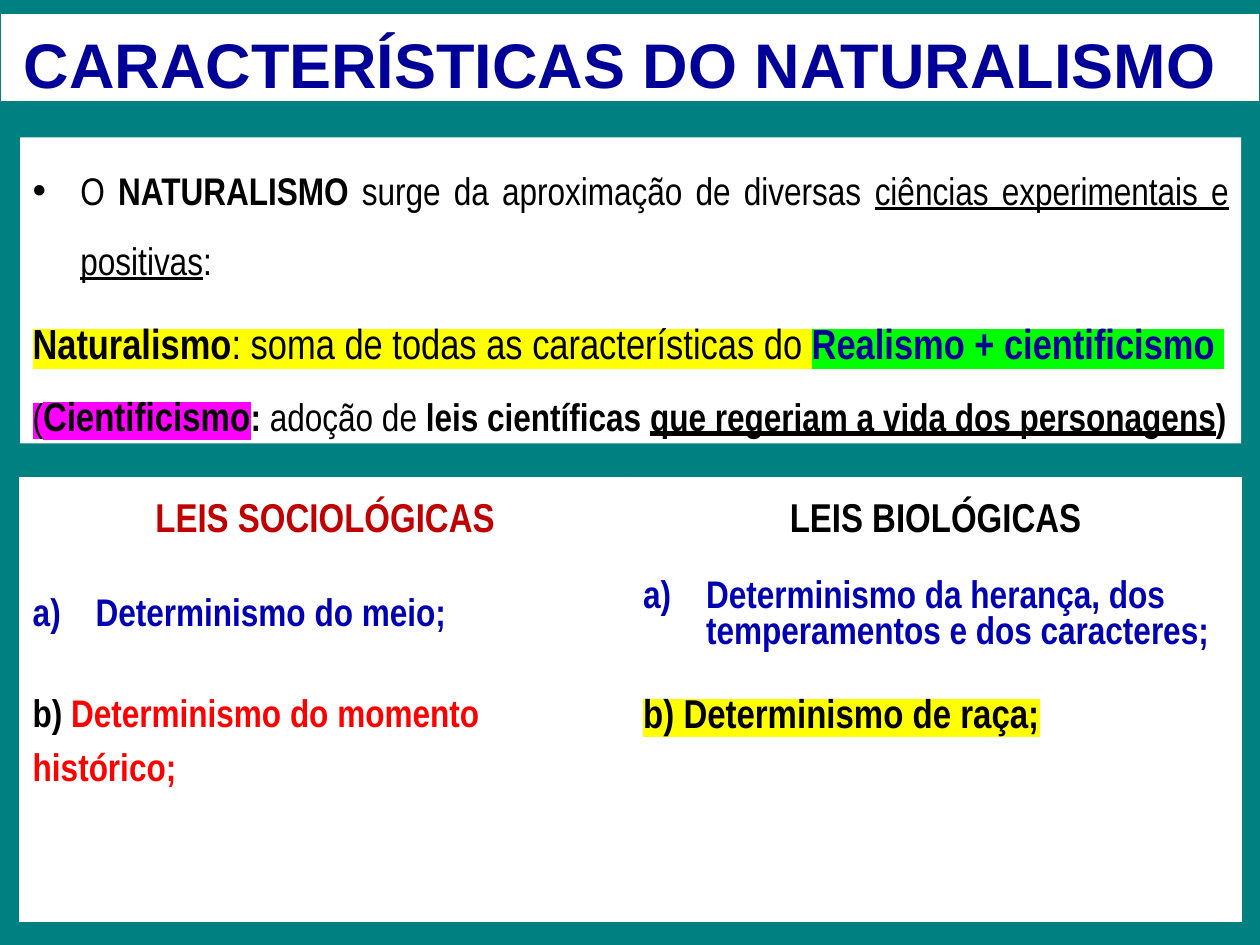
from pptx import Presentation
from pptx.util import Inches, Pt
from pptx.dml.color import RGBColor
from pptx.enum.shapes import MSO_SHAPE
from pptx.enum.text import MSO_ANCHOR, PP_ALIGN
from pptx.oxml.ns import qn
from lxml.etree import SubElement, Element


def color(value):
    return RGBColor.from_string(value)


def write(p, runs, align=PP_ALIGN.LEFT, spacing=1.5, before=0, indent=0, bullet=None):
    p.alignment = align
    p.line_spacing = spacing
    p.space_before = Pt(before)
    pPr = p._p.get_or_add_pPr()
    pPr.set("marL", str(Inches(indent)))
    pPr.set("indent", str(-Inches(indent)))
    if bullet == "•":
        SubElement(pPr, qn("a:buFont"), typeface="Arial")
        SubElement(pPr, qn("a:buChar"), char=bullet)
    elif bullet:
        SubElement(pPr, qn("a:buAutoNum"), type=bullet)
    else:
        SubElement(pPr, qn("a:buNone"))
    for text, size, ink, style, mark in runs:
        r = p.add_run()
        r.text = text
        r.font.size = Pt(size)
        r.font.name = "Arial Narrow"
        r.font.bold = "b" in style
        r.font.underline = "u" in style
        r.font.color.rgb = color(ink)
        if mark:
            highlight = Element(qn("a:highlight"))
            SubElement(highlight, qn("a:srgbClr"), val=mark)
            r._r.rPr.find(qn("a:solidFill")).addnext(highlight)


BLACK, WHITE, TEAL, NAVY, BLUE = "000000", "FFFFFF", "008080", "000099", "0000B2"
YELLOW, GREEN, MAGENTA = "FFFF00", "00FF00", "FF00FF"

prs = Presentation()
prs.slide_width, prs.slide_height = Inches(10), Inches(7.5)
s = prs.slides.add_slide(prs.slide_layouts[6])
s.background.fill.solid()
s.background.fill.fore_color.rgb = color(TEAL)

frames = []
for x, y, w, h in ((0, 0.11, 10, 0.7), (0.16, 1.09, 9.69, 2.43)):
    sp = s.shapes.add_shape(MSO_SHAPE.RECTANGLE, Inches(x), Inches(y), Inches(w), Inches(h))
    sp.shadow.inherit = False
    sp.fill.solid()
    sp.fill.fore_color.rgb = color(WHITE)
    sp.line.fill.background()
    sp.text_frame.word_wrap = True
    frames.append((sp, sp.text_frame))

(title, tf), (body, body_tf) = frames
title.line.color.rgb = color(TEAL)
title.line.width = Pt(0.75)
tf.vertical_anchor = MSO_ANCHOR.MIDDLE
tf.margin_top, tf.margin_right = Inches(0.14), Inches(0.26)
p = tf.paragraphs[0]
p.alignment = PP_ALIGN.CENTER
r = p.add_run()
r.text = "CARACTERÍSTICAS DO NATURALISMO"
r.font.name, r.font.size, r.font.bold = "Arial", Pt(36), True
r.font.color.rgb = color(NAVY)

body_tf.vertical_anchor = MSO_ANCHOR.TOP
write(body_tf.paragraphs[0], [
    ("O ", 22, BLACK, "", None),
    ("NATURALISMO", 22, BLACK, "b", None),
    (" surge da aproximação de diversas ", 22, BLACK, "", None),
    ("ciências experimentais e positivas", 22, BLACK, "u", None),
    (":", 22, BLACK, "", None),
], PP_ALIGN.JUSTIFY, Pt(40), 0, 0.38, "•")
write(body_tf.add_paragraph(), [
    ("Naturalismo", 24, BLACK, "b", YELLOW),
    (": soma de todas as características do ", 24, BLACK, "", YELLOW),
    ("Realismo + cientificismo", 24, NAVY, "b", GREEN),
    (" ", 24, NAVY, "", GREEN),
], PP_ALIGN.JUSTIFY, Pt(44), 4.4, 0.38)
write(body_tf.add_paragraph(), [
    ("(", 22, BLACK, "", MAGENTA),
    ("Cientificismo", 23, BLACK, "b", MAGENTA),
    (":", 22, BLACK, "b", None),
    (" adoção de ", 22, BLACK, "", None),
    ("leis científicas ", 22, BLACK, "b", None),
    ("que regeriam a vida dos personagens", 22, BLACK, "bu", None),
    (")", 22, BLACK, "b", None),
], PP_ALIGN.LEFT, Pt(22), 18.6, 0.38)

rows = (0.77, 2.75)
table = s.shapes.add_table(2, 2, Inches(0.16), Inches(3.79), Inches(9.69), Inches(sum(rows))).table
for row, height in zip(table.rows, rows):
    row.height = Inches(height)

laws = (
    ("LEIS SOCIOLÓGICAS", "C00000", "Determinismo do meio;", 1.5, 26.6,
     [("b) ", 22, BLACK, "b", None),
      ("Determinismo do momento histórico;", 22, "FF0000", "b", None)]),
    ("LEIS BIOLÓGICAS", BLACK,
     "Determinismo da herança, dos temperamentos e dos caracteres;", 1.0, 15.4,
     [("b) Determinismo de raça;", 23, BLACK, "b", YELLOW)]),
)
for col, (heading, ink, first, spacing, gap, second) in enumerate(laws):
    head, cell = table.cell(0, col), table.cell(1, col)
    for c in (head, cell):
        c.fill.solid()
        c.fill.fore_color.rgb = color(WHITE)
    write(head.text_frame.paragraphs[0], [(heading, 23, ink, "b", None)], PP_ALIGN.CENTER)
    tf = cell.text_frame
    write(tf.paragraphs[0], [(first, 22, BLUE, "b", None)], spacing=spacing,
          indent=0.5, bullet="alphaLcParenR")
    write(tf.add_paragraph(), second, before=gap)

prs.save("out.pptx")
